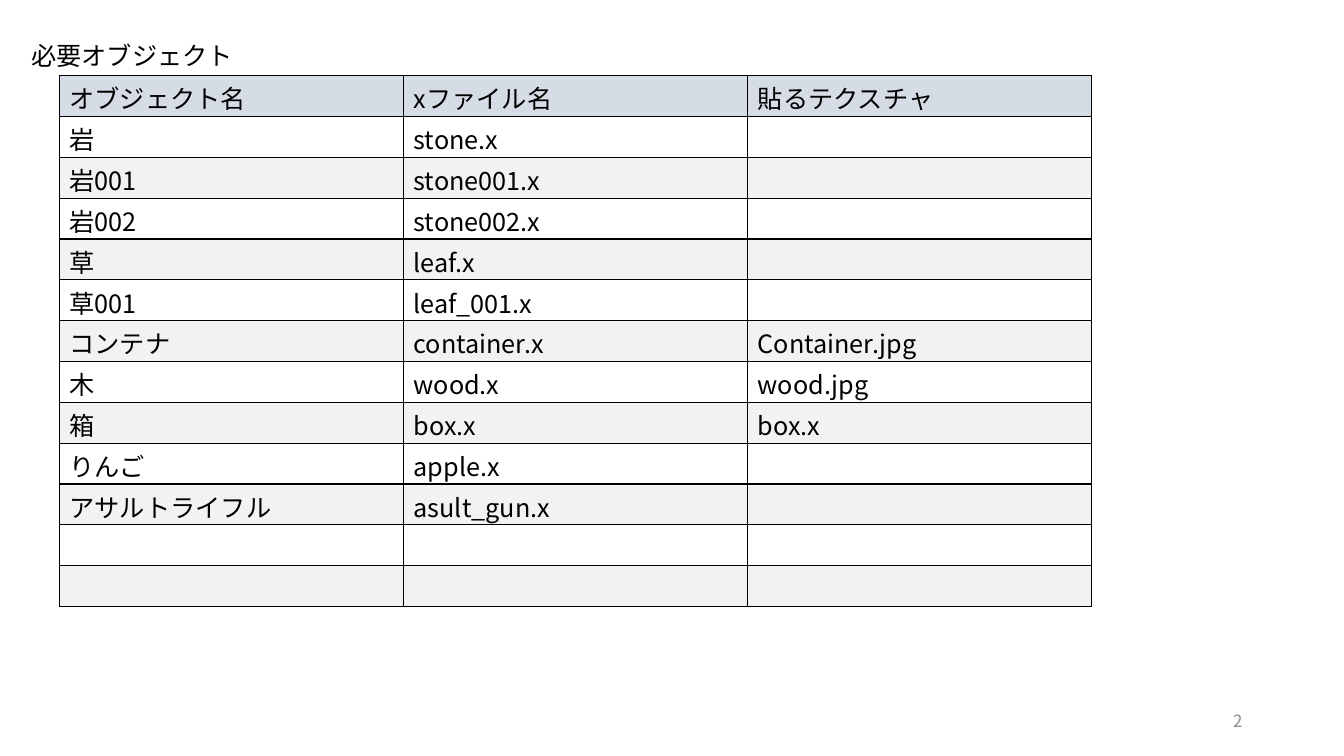
from pptx import Presentation
from pptx.dml.color import RGBColor
from pptx.enum.text import MSO_ANCHOR, MSO_AUTO_SIZE, PP_ALIGN
from pptx.oxml.ns import qn
from pptx.util import Inches, Pt
from lxml import etree

LEFT, RIGHT = PP_ALIGN.LEFT, PP_ALIGN.RIGHT
TOP, MIDDLE = MSO_ANCHOR.TOP, MSO_ANCHOR.MIDDLE
NO_FIT = MSO_AUTO_SIZE.NONE

# Content
TITLE = "必要オブジェクト"
PAGE_NUMBER = "2"
HEADER = ("オブジェクト名", "xファイル名", "貼るテクスチャ")
OBJECTS = [
    ("岩", "stone.x", ""),
    ("岩001", "stone001.x", ""),
    ("岩002", "stone002.x", ""),
    ("草", "leaf.x", ""),
    ("草001", "leaf_001.x", ""),
    ("コンテナ", "container.x", "Container.jpg"),
    ("木", "wood.x", "wood.jpg"),
    ("箱", "box.x", "box.x"),
    ("りんご", "apple.x", ""),
    ("アサルトライフル", "asult_gun.x", ""),
    ("", "", ""),
    ("", "", ""),
]

# Format
FONT = "Noto Sans CJK JP"
BLACK, GREY = "000000", "8C8C8C"
HEADER_FILL, BAND_FILLS = "D6DCE5", ("FFFFFF", "F2F2F2")
TABLE_LEFT, TABLE_TOP, TABLE_WIDTH, TABLE_HEIGHT = 0.59, 0.75, 10.24, 5.27
CELL_FORMAT = {"margin_top": Inches(0.04), "margin_bottom": 0, "vertical_anchor": TOP}
TITLE_FORMAT = {"word_wrap": False, "auto_size": NO_FIT, "vertical_anchor": TOP}
NUMBER_FORMAT = {"word_wrap": True, "vertical_anchor": MIDDLE}


def color(hex_string):
    return RGBColor.from_string(hex_string)


def apply(target, values):
    for name, value in values.items():
        setattr(target, name, value)


def place(shape, left, top, width, height):
    box = {"left": left, "top": top, "width": width, "height": height}
    apply(shape, {name: Inches(value) for name, value in box.items()})


def write(text_frame, text, size=18, hex_string=BLACK, alignment=LEFT):
    paragraph = text_frame.paragraphs[0]
    apply(paragraph, {"alignment": alignment, "line_spacing": 1.0, "space_before": Pt(0)})
    if not text:
        return
    run = paragraph.add_run()
    run.text = text
    apply(run.font, {"size": Pt(size), "name": FONT})
    run.font.color.rgb = color(hex_string)
    # East Asian characters take their own typeface
    latin = run.font._element.find(qn("a:latin"))
    latin.addnext(latin.makeelement(qn("a:ea"), {"typeface": FONT}))


def add_borders(cell):
    properties = cell._tc.get_or_add_tcPr()
    for index, side in enumerate(("lnL", "lnR", "lnT", "lnB")):
        line = properties.makeelement(qn("a:" + side), {"w": str(Pt(1))})
        fill = etree.SubElement(line, qn("a:solidFill"))
        etree.SubElement(fill, qn("a:srgbClr"), val=BLACK)
        properties.insert(index, line)


presentation = Presentation()
apply(presentation, {"slide_width": Inches(13.33), "slide_height": Inches(7.5)})
slide = presentation.slides.add_slide(presentation.slide_layouts[5])

# Title
title = slide.shapes.title
place(title, 0.21, 0.35, 2.22, 0.4)
apply(title.text_frame, TITLE_FORMAT)
write(title.text_frame, TITLE)

# Object table
rows = [HEADER] + OBJECTS
table = slide.shapes.add_table(
    len(rows), len(HEADER), Inches(TABLE_LEFT), Inches(TABLE_TOP),
    Inches(TABLE_WIDTH), Inches(TABLE_HEIGHT)).table
for row_index, row in enumerate(rows):
    fill = BAND_FILLS[(row_index - 1) % 2] if row_index else HEADER_FILL
    for column_index, text in enumerate(row):
        cell = table.cell(row_index, column_index)
        apply(cell, CELL_FORMAT)
        cell.fill.solid()
        cell.fill.fore_color.rgb = color(fill)
        add_borders(cell)
        write(cell.text_frame, text)

# Page number
number = slide.shapes.add_textbox(0, 0, 0, 0)
place(number, 9.42, 6.95, 3, 0.4)
apply(number.text_frame, NUMBER_FORMAT)
write(number.text_frame, PAGE_NUMBER, 12, GREY, RIGHT)

presentation.save("out.pptx")
